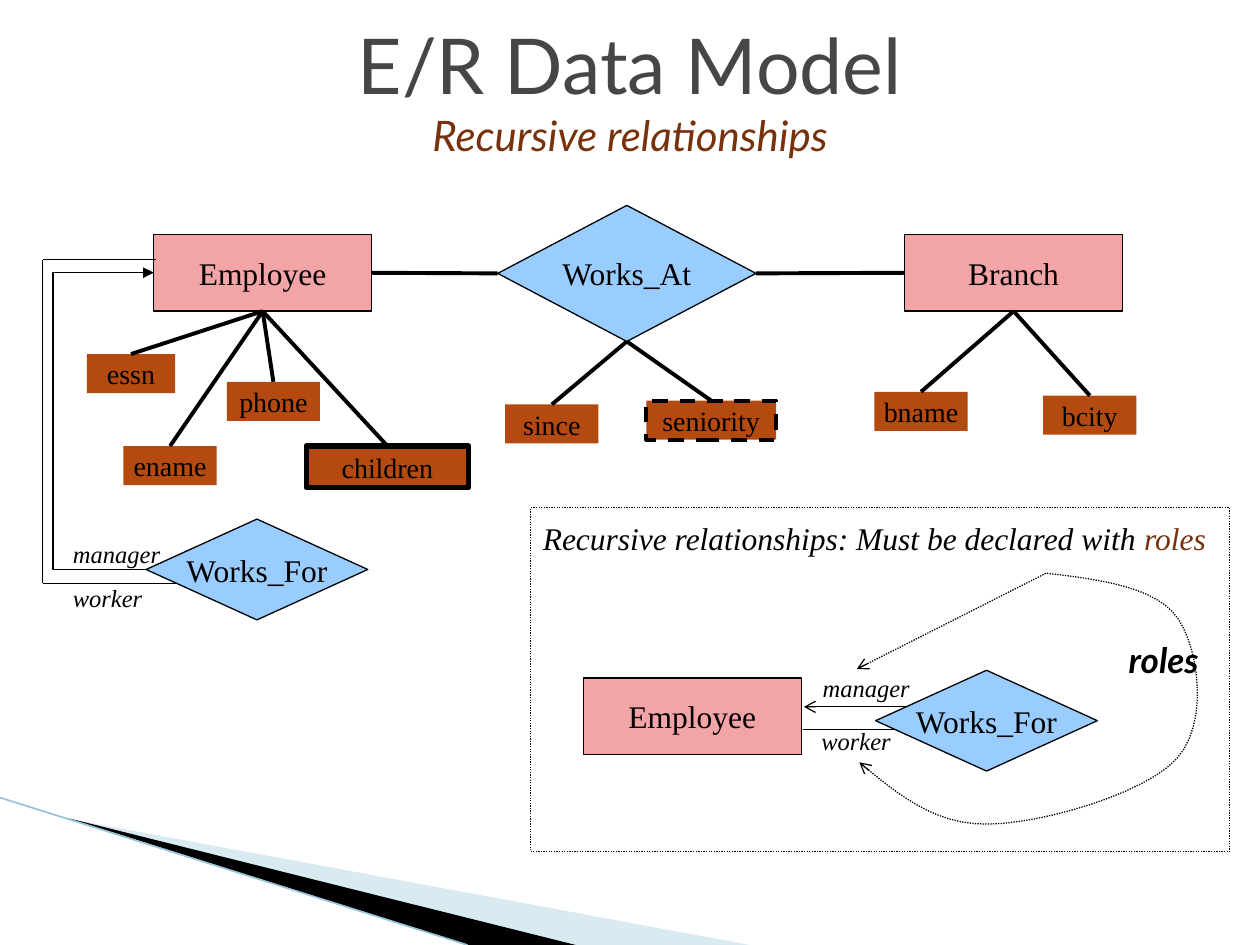
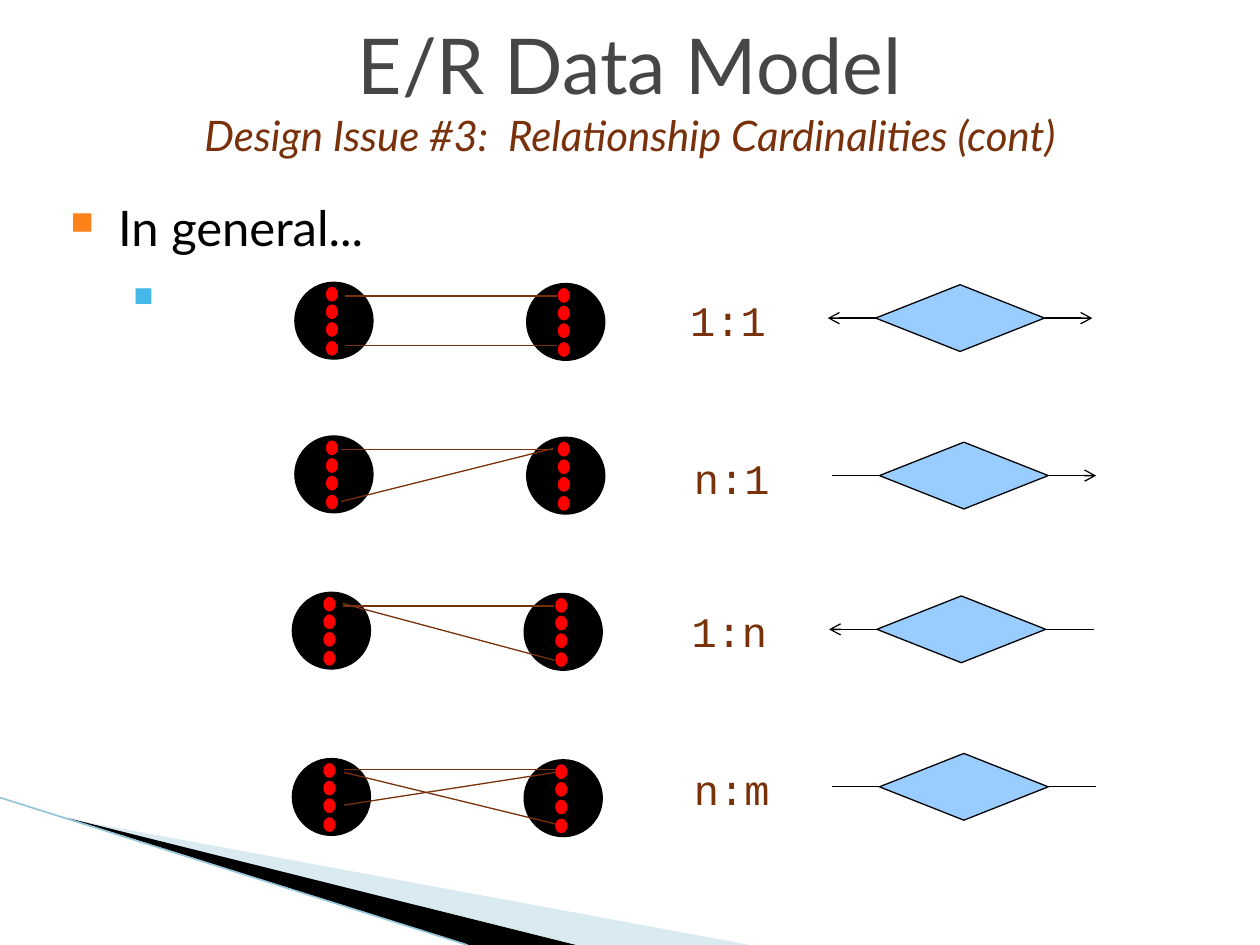
import pptx
import pptx.util
import pptx.dml.color
import pptx.enum.dml
import pptx.enum.shapes
import pptx.enum.text
import pptx.oxml.ns
from lxml import etree

Inches, Pt = pptx.util.Inches, pptx.util.Pt
SHAPE = pptx.enum.shapes.MSO_SHAPE
CONNECTOR = pptx.enum.shapes.MSO_CONNECTOR
DASH = pptx.enum.dml.MSO_LINE
ALIGN = pptx.enum.text.PP_ALIGN
ANCHOR = pptx.enum.text.MSO_ANCHOR
AUTO_SIZE = pptx.enum.text.MSO_AUTO_SIZE
qn = pptx.oxml.ns.qn

WIDTH, HEIGHT = 10, 7.5
SANS, SERIF, MONO = "Lato", "Times New Roman", "Courier New"
COLORS = {
    "black": "000000", "title": "464646", "accent": "78310B",
    "entity": "F2A4A7", "relationship": "99CCFF", "attribute": "B54A10",
    "dot": "FF0000", "band": "A0CBDC", "edge": "97C5D8",
    "bullet 1": "FF8119", "bullet 2": "44B9E8",
}
TITLE = "E/R Data Model"
TOP, LEFT, BOTTOM, RIGHT = range(4)  # connection sites of rectangles and diamonds

# Slide 1: name, left, top
ENTITY_SIZE = (1.73, 0.61)
ENTITIES = [("Employee", 1.22, 1.86), ("Branch", 7.18, 1.86)]
ROLE_ENTITY = ("Employee", 4.63, 5.38)
WORKS_AT = ("Works_At", 3.95, 1.63)
WORKS_AT_SIZE = (2.05, 1.08)
WORKS_FOR = ("Works_For", 1.16, 4.12)
ROLE_WORKS_FOR = ("Works_For", 6.95, 5.32)
WORKS_FOR_SIZE = (1.76, 0.8)
# owner, name, left, top, width, height, border width, border dash
ATTRIBUTES = [
    ("Employee", "essn", 0.69, 2.81, 0.7, 0.31, 0, None),
    ("Employee", "ename", 0.98, 3.54, 0.74, 0.31, 0, None),
    ("Employee", "phone", 1.8, 3.03, 0.74, 0.31, 0, None),
    ("Employee", "children", 2.43, 3.54, 1.29, 0.33, 3, None),
    ("Works_At", "since", 4.01, 3.21, 0.74, 0.31, 0, None),
    ("Works_At", "seniority", 5.13, 3.18, 1.03, 0.31, 2.25, DASH.DASH),
    ("Branch", "bname", 6.94, 3.11, 0.74, 0.31, 0, None),
    ("Branch", "bcity", 8.28, 3.14, 0.74, 0.31, 0, None),
]
ROLES = [
    ("manager", 0.48, 4.23, 0.89), ("worker", 0.48, 4.58, 0.76),
    ("manager", 6.43, 5.29, 0.89), ("worker", 6.42, 5.71, 0.76),
]
WORKER_PATH = [(1.41, 4.63), (0.34, 4.63), (0.34, 2.06), (1.24, 2.06)]
MANAGER_PATH_X = 0.42
ROLES_BOX = (4.21, 4.03, 5.55, 2.73)
ROLES_CURVE = [  # Bezier knots and controls, three points to a segment
    (8.31, 4.55),
    (8.74, 4.6), (9.18, 4.66), (9.35, 4.91),
    (9.52, 5.16), (9.59, 5.75), (9.34, 6.02),
    (9.09, 6.3), (8.26, 6.54), (7.84, 6.54),
    (7.42, 6.55), (7.12, 6.3), (6.82, 6.05),
]

# Slide 2: label, set left and top, diamond left and top, arrow on each side,
# where links start, heights of link ends below the top of the set
CARDINALITIES = [
    ("1:1", 2.34, 2.24, 6.95, 2.26, True, True, 0.4, [(0.11, 0.11), (0.5, 0.5)]),
    ("n:1", 2.34, 3.46, 6.98, 3.51, False, True, 0.37, [(0.11, 0.11), (0.52, 0.1)]),
    ("1:n", 2.32, 4.7, 6.96, 4.73, True, False, 0.4, [(0.11, 0.11), (0.09, 0.54)]),
    ("n:m", 2.32, 6.02, 6.98, 5.98, False, False, 0.41,
     [(0.09, 0.09), (0.11, 0.52), (0.37, 0.11)]),
]
SET_SIZE, SET_GAP = (0.62, 0.61), (1.84, 0.01)
DOT_SIZE, DOT_LEFT, DOT_TOPS = (0.11, 0.13), 0.24, (0.03, 0.17, 0.31, 0.46)
LINK_LENGTH = 1.68
DIAMOND_SIZE, STUB = (1.34, 0.53), 0.38


def rgb(name):
    return pptx.dml.color.RGBColor.from_string(COLORS[name])


def set_font(font, size, face=None, color="black", italic=None, bold=None):
    font.size, font.italic, font.bold = Pt(size), italic, bold
    font.color.rgb = rgb(color)
    if face:
        font.name = face


def set_outline(line, width, color="black", dash=None):
    if not width:
        line.fill.background()
        return
    line.color.rgb = rgb(color)
    line.width = Pt(width)
    if dash:
        line.dash_style = dash


def add_arrowhead(shape, kind):
    """Put an arrowhead on the end of a line."""
    etree.SubElement(shape.line._get_or_add_ln(), qn("a:tailEnd"), type=kind)


def add_shape(shapes, kind, at, size, fill=None, text="", text_size=18,
              border=0.75, dash=None):
    sp = shapes.add_shape(kind, *map(Inches, at + size))
    sp.shadow.inherit = False
    if fill:
        sp.fill.solid()
        sp.fill.fore_color.rgb = rgb(fill)
    else:
        sp.fill.background()
    set_outline(sp.line, border, dash=dash)
    if text:
        tf = sp.text_frame
        tf.word_wrap, tf.vertical_anchor = False, ANCHOR.MIDDLE
        p = tf.paragraphs[0]
        p.text, p.alignment = text, ALIGN.CENTER
        set_font(p.font, text_size, SERIF)
    return sp


def add_entity(s, name, left, top):
    return add_shape(s.shapes, SHAPE.RECTANGLE, (left, top), ENTITY_SIZE, "entity", name)


def add_diamond(s, size, name, left, top):
    return add_shape(s.shapes, SHAPE.DIAMOND, (left, top), size, "relationship", name)


def add_line(s, start, end, width=0.75, color="black", dash=None, arrow=None,
             kind=CONNECTOR.STRAIGHT):
    line = s.shapes.add_connector(kind, *map(Inches, start + end))
    set_outline(line.line, width, color, dash)
    etree.SubElement(line._element.spPr, qn("a:effectLst"))
    if arrow:
        add_arrowhead(line, arrow)
    return line


def join(s, first, first_site, second, second_site, **look):
    line = add_line(s, (0, 0), (1, 1), **look)
    line.begin_connect(first, first_site)
    line.end_connect(second, second_site)
    return line


def add_text(s, runs, at, size, points, face, **look):
    """Add a one-line text box; runs are (text, color) pairs."""
    tf = s.shapes.add_textbox(*map(Inches, at + size)).text_frame
    tf.word_wrap, tf.auto_size = False, AUTO_SIZE.SHAPE_TO_FIT_TEXT
    p = tf.paragraphs[0]
    set_font(p.font, points, face, **look)
    for text, color in runs:
        r = p.add_run()
        r.text = text
        set_font(r.font, points, face, color, **look)


def add_freeform(s, points, closed=True):
    builder = s.shapes.build_freeform(*map(Inches, points[0]))
    builder.add_line_segments([tuple(map(Inches, pt)) for pt in points[1:]], close=closed)
    sp = builder.convert_to_shape()
    sp.shadow.inherit = False
    return sp


def add_slide(prs, subtitle):
    """Add a slide with the corner bands and the two-line title."""
    s = prs.slides.add_slide(prs.slide_layouts[5])
    for color, opacity, points in [
        ("band", 40, [(0.55, 6.5), (5.95, HEIGHT), (4.56, HEIGHT)]),
        ("black", 100, [(0.53, 6.49), (4.57, HEIGHT), (3.72, HEIGHT)]),
    ]:
        sp = add_freeform(s, points)
        sp.fill.solid()
        sp.fill.fore_color.rgb = rgb(color)
        sp.line.fill.background()
        if opacity < 100:
            srgb = sp._element.spPr.find(".//" + qn("a:srgbClr"))
            etree.SubElement(srgb, qn("a:alpha"), val=str(opacity * 1000))
    add_line(s, (0, 6.33), (3.71, HEIGHT), 0.95, "edge")

    title = s.shapes.title
    title.left, title.top, title.width, title.height = map(Inches, (0, 0.08, WIDTH, 1.25))
    tf = title.text_frame
    tf.auto_size, tf.vertical_anchor = AUTO_SIZE.NONE, ANCHOR.MIDDLE
    p = tf.paragraphs[0]
    p.alignment = ALIGN.CENTER
    for i, (text, size, color) in enumerate([(TITLE, 44, "title"), (subtitle, 24, "accent")]):
        if i:
            p.add_line_break()
        r = p.add_run()
        r.text = text
        set_font(r.font, size, SANS, color, italic=i > 0)
    return s


def bezier_points(knots, steps=12):
    points = [knots[0]]
    for i in range(0, len(knots) - 1, 3):
        for step in range(1, steps + 1):
            t = step / steps
            weights = ((1 - t) ** 3, 3 * t * (1 - t) ** 2, 3 * t * t * (1 - t), t ** 3)
            points.append(tuple(sum(w * pt[axis] for w, pt in zip(weights, knots[i:i + 4]))
                                for axis in (0, 1)))
    return points


def add_main_diagram(s):
    nodes = {name: add_entity(s, name, left, top) for name, left, top in ENTITIES}
    nodes["Works_At"] = add_diamond(s, WORKS_AT_SIZE, *WORKS_AT)
    join(s, nodes["Employee"], RIGHT, nodes["Works_At"], LEFT, width=2.25)
    join(s, nodes["Works_At"], RIGHT, nodes["Branch"], LEFT, width=2.25)
    for owner, name, left, top, width, height, border, dash in ATTRIBUTES:
        attribute = add_shape(s.shapes, SHAPE.RECTANGLE, (left, top), (width, height),
                              "attribute", name, 16, border, dash)
        join(s, nodes[owner], BOTTOM, attribute, TOP, width=2.25)

    works_for = add_diamond(s, WORKS_FOR_SIZE, *WORKS_FOR)
    for start, end in zip(WORKER_PATH, WORKER_PATH[1:]):
        add_line(s, start, end)
    elbow = join(s, works_for, LEFT, nodes["Employee"], LEFT,
                 arrow="triangle", kind=CONNECTOR.ELBOW)
    bend = (Inches(MANAGER_PATH_X) - elbow.begin_x) / (elbow.end_x - elbow.begin_x)
    guides = elbow._element.spPr.find(".//" + qn("a:avLst"))
    etree.SubElement(guides, qn("a:gd"), name="adj1", fmla=f"val {round(bend * 100000)}")


def add_roles_panel(s):
    add_shape(s.shapes, SHAPE.RECTANGLE, ROLES_BOX[:2], ROLES_BOX[2:], dash=DASH.ROUND_DOT)
    add_line(s, (8.17, 5.61), (6.38, 5.61), arrow="arrow")
    add_line(s, (6.37, 5.79), (8.16, 5.79))
    add_diamond(s, WORKS_FOR_SIZE, *ROLE_WORKS_FOR)
    add_entity(s, *ROLE_ENTITY)
    add_text(s, [("Recursive relationships: Must be declared with ", "black"),
                 ("roles", "accent")], (4.21, 4.07), (5.49, 0.4), 18, SERIF, italic=True)
    curve = add_freeform(s, bezier_points(ROLES_CURVE), closed=False)
    curve.fill.background()
    set_outline(curve.line, 0.75, dash=DASH.ROUND_DOT)
    add_arrowhead(curve, "arrow")
    add_line(s, (8.3, 4.55), (6.8, 5.31), dash=DASH.ROUND_DOT, arrow="arrow")
    add_text(s, [("roles", "black")], (8.86, 5.02), (0.98, 0.44), 20, SANS,
             italic=True, bold=True)


def add_bullets(s):
    tf = s.shapes.add_textbox(*map(Inches, (0.46, 1.52, 3.47, 0.69))).text_frame
    tf.word_wrap = True
    for i, (text, size, margin, indent, spacing) in enumerate([
            ("In general...", 28, 0.38, -0.38, 1), (" ", 24, 0.81, -0.31, 1.2)]):
        p = tf.add_paragraph() if i else tf.paragraphs[0]
        p.text, p.level, p.line_spacing = text, i, spacing
        p.space_before = Pt(size * 0.2)
        set_font(p.font, size, SANS)
        pPr = p._p.get_or_add_pPr()
        pPr.set("marL", str(Inches(margin)))
        pPr.set("indent", str(Inches(indent)))
        color = etree.Element(qn("a:buClr"))
        etree.SubElement(color, qn("a:srgbClr"), val=COLORS[f"bullet {i + 1}"])
        size_mark = etree.Element(qn("a:buSzPct"), val="65000")
        mark = etree.Element(qn("a:buChar"), char="■")
        defaults = pPr.find(qn("a:defRPr"))
        for element in (color, size_mark, mark):
            defaults.addprevious(element)


def add_set(s, left, top):
    """Add a black set with its column of red members, as one group."""
    shapes = s.shapes.add_group_shape().shapes
    add_shape(shapes, SHAPE.OVAL, (left, top), SET_SIZE, "black")
    for dy in DOT_TOPS:
        add_shape(shapes, SHAPE.OVAL, (left + DOT_LEFT, top + dy), DOT_SIZE, "dot")


def add_cardinality(s, label, left, top, d_left, d_top, arrow_left, arrow_right,
                    link_dx, links):
    add_set(s, left, top)
    add_set(s, left + SET_GAP[0], top + SET_GAP[1])
    x = left + link_dx
    for dy1, dy2 in links:
        add_line(s, (x, top + dy1), (x + LINK_LENGTH, top + dy2), color="accent")
    add_text(s, [(label, "accent")], (d_left - 1.57, d_top + 0.03), (0.8, 0.5), 24, MONO)
    add_diamond(s, DIAMOND_SIZE, "", d_left, d_top)
    middle, d_right = d_top + DIAMOND_SIZE[1] / 2, d_left + DIAMOND_SIZE[0]
    for edge, reach, arrow in [(d_left, -STUB, arrow_left), (d_right, STUB, arrow_right)]:
        add_line(s, (edge, middle), (edge + reach, middle), arrow="arrow" if arrow else None)


def main():
    prs = pptx.Presentation()
    prs.slide_width, prs.slide_height = Inches(WIDTH), Inches(HEIGHT)

    s = add_slide(prs, "Recursive relationships")
    add_main_diagram(s)
    add_roles_panel(s)
    for role, left, top, width in ROLES:
        add_text(s, [(role, "black")], (left, top), (width, 0.33), 14, SERIF, italic=True)

    s = add_slide(prs, "Design Issue #3:  Relationship Cardinalities (cont)")
    add_bullets(s)
    for row in CARDINALITIES:
        add_cardinality(s, *row)
    prs.save("out.pptx")


if __name__ == "__main__":
    main()
